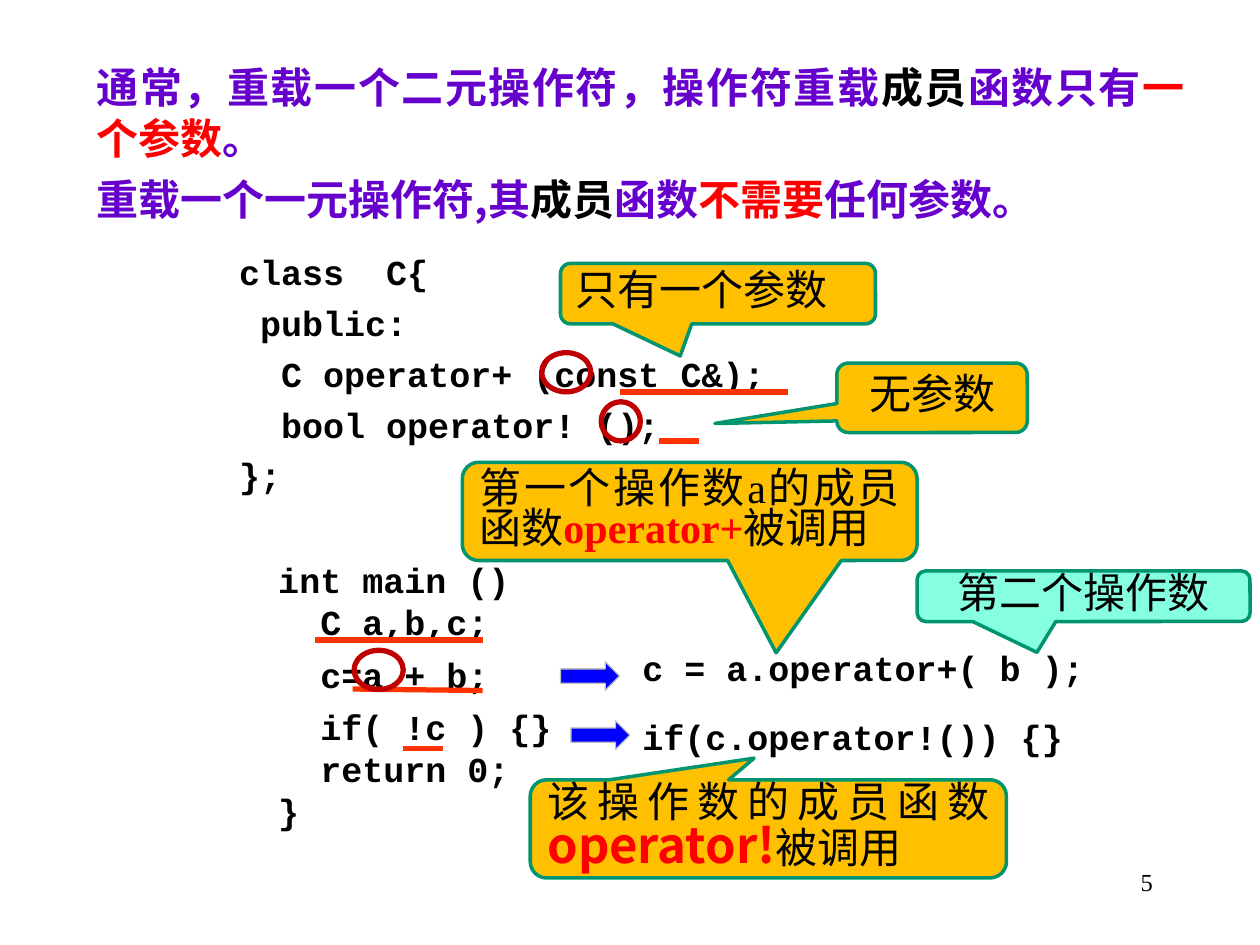
from lxml import etree
from pptx import Presentation
from pptx.dml.color import RGBColor
from pptx.enum import shapes, text
from pptx.oxml.ns import qn
from pptx.util import Cm, Pt

THEME = {
    "cjk": "Noto Sans CJK SC", "code": "Courier New", "serif": "Times New Roman",
    "black": "000000", "purple": "6600CC", "red": "FF0000",
    "amber": "FFC000", "mint": "85FFE0", "green": "00956F",
    "underline": "FF3300", "ring": "C00000", "blue": "0000FF", "silver": "C0C0C0",
}
# Run styles: font, size, colour, bold
STYLES = {
    "head": ("cjk", 24, "purple", True),
    "head_black": ("cjk", 24, "black", True),
    "head_red": ("cjk", 24, "red", True),
    "code": ("code", 20, "black", True),
    "note": ("cjk", 24, "black", False),
    "note_serif": ("serif", 24, "black", False),
    "plus": ("serif", 24, "red", True),
    "bang": ("cjk", 28, "red", True),
    "number": ("serif", 14, "black", False),
}
LEFT, CENTER, RIGHT, JUSTIFY = (
    text.PP_ALIGN.LEFT, text.PP_ALIGN.CENTER, text.PP_ALIGN.RIGHT, text.PP_ALIGN.JUSTIFY)

# Content; boxes are left, top, width, height in centimetres
RULES = [
    [("通常，重载一个二元操作符，操作符重载", "head"), ("成员", "head_black"),
     ("函数只有", "head"), ("一个参数", "head_red"), ("。", "head")],
    [("重载一个一元操作符,其", "head"), ("成员", "head_black"), ("函数", "head"),
     ("不需要", "head_red"), ("任何参数。", "head")],
]
CLASS_CODE = ["class  C{", " public:", "  C operator+ (const C&);",
              "  bool operator! ();", "};"]
MAIN_CODE = ["int main ()", "  C a,b,c;", "  c=a + b;", "  if( !c ) {}",
             "  return 0;", "}"]


def code(lines):
    return [[(line, "code")] for line in lines]


# Box, paragraphs, alignment, space before each paragraph
TEXTS = [
    ((1.7, 1.12, 22.43, 3.53), RULES, JUSTIFY, [0, 6]),
    ((4.57, 4.93, 18.64, 5.21), code(CLASS_CODE), JUSTIFY, [0, 5, 5, 5, 5]),
    ((5.36, 11.13, 6.76, 5.77), code(MAIN_CODE), LEFT, [0, 0, 6, 6, 0, 0]),
    ((12.7, 12.9, 10.52, 1.96), code(["c = a.operator+( b );"]), LEFT, [0]),
    ((12.7, 14.3, 10.52, 1.12), code(["if(c.operator!()) {}"]), LEFT, [0]),
    ((18.21, 17.35, 5.28, 1.27), [[("5", "number")]], RIGHT, [0]),
]
# Box, pointer offset, fill, alignment, runs
CALLOUTS = [
    ((11.3, 5.31, 6.35, 1.22), (-0.12, 1.03), "amber", JUSTIFY, [("只有一个参数", "note")]),
    ((16.87, 7.32, 3.84, 1.4), (-1.14, 0.37), "amber", CENTER, [("无参数", "note")]),
    ((18.49, 11.51, 6.71, 1.02), (-0.14, 1.11), "mint", CENTER, [("第二个操作数", "note")]),
    ((10.69, 15.72, 9.6, 1.98), (-0.03, -0.72), "amber", JUSTIFY,
     [("该操作数的成员函数", "note"), ("operator!", "bang"), ("被调用", "note")]),
    ((9.32, 9.32, 9.17, 1.98), (0.19, 1.44), "amber", JUSTIFY,
     [("第一个操作数", "note"), ("a", "note_serif"), ("的成员函数", "note"),
      ("operator+", "plus"), ("被调用", "note")]),
]
ARROWS = [(11.3, 13.34), (11.51, 14.53)]
ARROW_SIZE = (1.19, 0.58)
RINGS = [(10.92, 7.11, 0.99, 0.79), (12.12, 8.1, 0.79, 0.79), (7.14, 13.11, 0.99, 0.79)]
# x1, y1, x2, y2
UNDERLINES = [
    (12.5, 7.9, 15.88, 7.9), (13.28, 8.89, 14.1, 8.89), (8.13, 15.09, 8.94, 15.09),
    (6.35, 12.9, 9.73, 12.9), (7.11, 13.89, 9.73, 13.92),
]


def rgb(name):
    return RGBColor.from_string(THEME[name])


def cm(values):
    return [Cm(v) for v in values]


def set_line(line, color, width):
    line.color.rgb = rgb(color)
    line.width = Pt(width)


def write(tf, paragraphs, align, spaces, **extra):
    frame = {"word_wrap": True, "margin_left": Cm(0.25), "margin_right": Cm(0.25),
             "margin_top": Cm(0.13), "margin_bottom": Cm(0.13)}
    for key, value in frame.items():
        setattr(tf, key, value)
    for i, (runs, space) in enumerate(zip(paragraphs, spaces)):
        p = tf.add_paragraph() if i else tf.paragraphs[0]
        for key, value in {"alignment": align, "space_before": Pt(space), **extra}.items():
            setattr(p, key, value)
        for words, style in runs:
            font, size, color, bold = STYLES[style]
            r = p.add_run()
            r.text = words
            for key, value in {"name": THEME[font], "size": Pt(size), "bold": bold}.items():
                setattr(r.font, key, value)
            r.font.color.rgb = rgb(color)
            # East Asian typeface
            etree.SubElement(r.font._element, qn("a:ea"), typeface=THEME[font])


def add_shape(s, kind, box, fill, line, width):
    sp = s.shapes.add_shape(kind, *cm(box))
    sp.shadow.inherit = False
    if fill:
        sp.fill.solid()
        sp.fill.fore_color.rgb = rgb(fill)
    else:
        sp.fill.background()
    set_line(sp.line, line, width)
    return sp


def main():
    prs = Presentation()
    prs.slide_width, prs.slide_height = Cm(25.4), Cm(19.05)
    s = prs.slides.add_slide(prs.slide_layouts[6])
    kinds = shapes.MSO_SHAPE

    # Rules, code and slide number
    for box, paragraphs, align, spaces in TEXTS:
        tf = s.shapes.add_textbox(*cm(box)).text_frame
        write(tf, paragraphs, align, spaces)

    # Callouts
    for box, pointer, fill, align, runs in CALLOUTS:
        sp = add_shape(s, kinds.ROUNDED_RECTANGULAR_CALLOUT, box, fill, "green", 2)
        for i, value in enumerate(pointer):
            sp.adjustments[i] = value
        write(sp.text_frame, [runs], align, [0], line_spacing=0.8)
        sp.text_frame.vertical_anchor = text.MSO_ANCHOR.MIDDLE

    # Arrows from each expression to its call
    for corner in ARROWS:
        add_shape(s, kinds.RIGHT_ARROW, corner + ARROW_SIZE, "blue", "silver", 0.75)

    # Underlines
    for ends in UNDERLINES:
        line = s.shapes.add_connector(shapes.MSO_CONNECTOR.STRAIGHT, *cm(ends))
        set_line(line.line, "underline", 3)
        etree.SubElement(line._element.spPr, qn("a:effectLst"))

    # Rings
    for box in RINGS:
        add_shape(s, kinds.OVAL, box, None, "ring", 3)

    prs.save("out.pptx")


if __name__ == "__main__":
    main()
